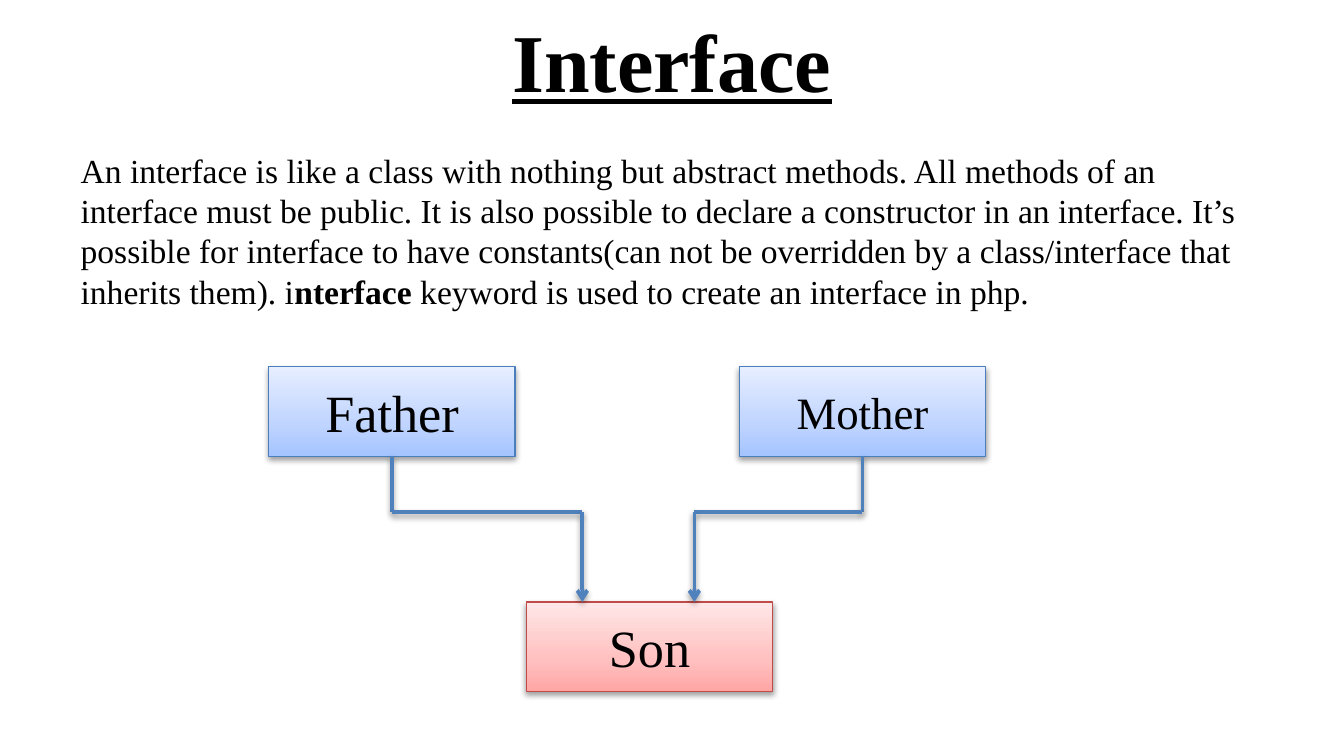
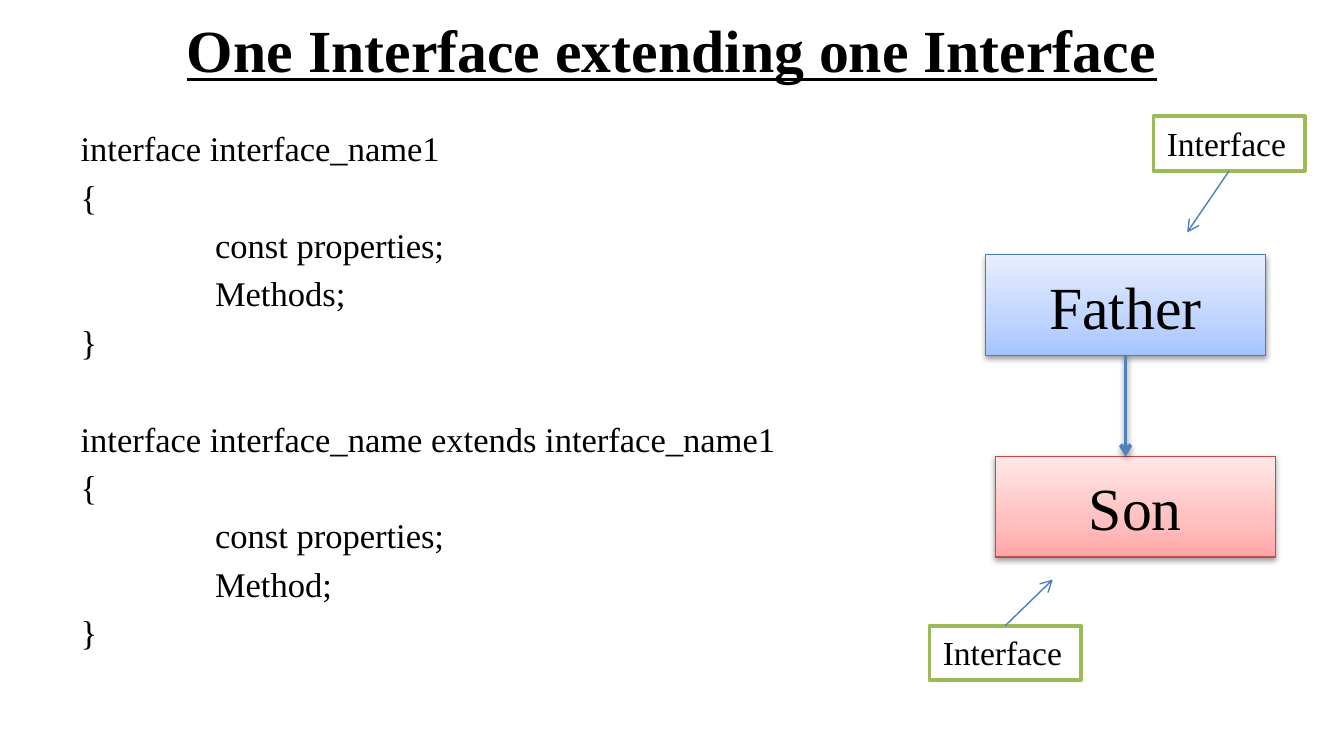
from copy import deepcopy

from lxml import etree
from pptx import Presentation
from pptx import util as u
from pptx.dml import color
from pptx.enum import shapes, text
from pptx.oxml import ns

PX = 9525
FONT = "Times New Roman"
INK = "000000"
EDGE = "4B7EBC"
WIRE = "4F81BD"
GREEN = "9BBB59"
BLUE = (EDGE, ("A4C4FF", "BFD4FF", "E6EEFF"))
RED = ("BF4C48", ("FFA6A5", "FFC0BF", "FFE7E7"))
STOPS = (0, 0.35, 1)


def rgb(code):
    return color.RGBColor.from_string(code)


def px(*nums):
    return [u.Emu(n * PX) for n in nums]


def sub(node, tag, **attrs):
    return etree.SubElement(node, ns.qn(tag), attrs)


class Deck:
    def __init__(self):
        self.prs = Presentation()
        self.prs.slide_width, self.prs.slide_height = px(960, 540)

    def page(self):
        self.slide = self.prs.slides.add_slide(self.prs.slide_layouts[1])

    def run(self, para, words, size, bold=False, under=False):
        run = para.add_run()
        run.text = words
        font = run.font
        font.name, font.size = FONT, u.Pt(size)
        font.bold, font.underline = bold, under
        font.color.rgb = rgb(INK)

    def place(self, shape, box):
        shape.left, shape.top, shape.width, shape.height = px(*box)
        frame = shape.text_frame
        frame.word_wrap = True
        frame.auto_size = text.MSO_AUTO_SIZE.NONE
        return frame

    def title(self, words, high, size):
        frame = self.place(self.slide.shapes.title, (48, -2, 864, high))
        frame.vertical_anchor = text.MSO_ANCHOR.MIDDLE
        para = frame.paragraphs[0]
        para.alignment = text.PP_ALIGN.CENTER
        self.run(para, words, size, True, True)

    def body(self, box, lines, size):
        frame = self.place(self.slide.placeholders[1], box)
        for i, (runs, inset, gap) in enumerate(lines):
            para = frame.add_paragraph() if i else frame.paragraphs[0]
            props = para._p.get_or_add_pPr()
            props.set("marL", str(inset * PX))
            props.set("indent", "0")
            sub(props, "a:buNone")
            para.space_before = u.Pt(gap if i else 0)
            for words, bold in runs:
                self.run(para, words, size, bold)

    def shade(self, shape, on=True):
        fx = sub(shape.element.spPr, "a:effectLst")
        if on:
            drop = sub(fx, "a:outerShdw", blurRad="40000", dist="20000",
                       dir="5400000", rotWithShape="0")
            ink = sub(drop, "a:srgbClr", val=INK)
            sub(ink, "a:alpha", val="38000")

    def block(self, words, box, look, size):
        edge, tints = look
        shape = self.slide.shapes.add_shape(
            shapes.MSO_SHAPE.RECTANGLE, *px(*box))
        fill = shape.fill
        fill.gradient()
        fill.gradient_angle = 90
        first = shape.element.spPr.find(".//" + ns.qn("a:gs"))
        first.addnext(deepcopy(first))
        for stop, spot, tint in zip(fill.gradient_stops, STOPS, tints):
            stop.position = spot
            stop.color.rgb = rgb(tint)
        shape.line.color.rgb = rgb(edge)
        shape.line.width = u.Pt(0.75)
        self.shade(shape)
        frame = shape.text_frame
        frame.vertical_anchor = text.MSO_ANCHOR.MIDDLE
        para = frame.paragraphs[0]
        para.alignment = text.PP_ALIGN.CENTER
        self.run(para, words, size)

    def label(self, words, left, top):
        shape = self.slide.shapes.add_textbox(*px(left, top, 108, 39))
        shape.fill.solid()
        shape.fill.fore_color.rgb = rgb("FFFFFF")
        shape.line.color.rgb = rgb(GREEN)
        shape.line.width = u.Pt(2)
        frame = shape.text_frame
        frame.word_wrap = False
        frame.auto_size = text.MSO_AUTO_SIZE.SHAPE_TO_FIT_TEXT
        self.run(frame.paragraphs[0], words, 18)

    def wire(self, dots, tint=WIRE, wide=2, shade=True):
        pairs = list(zip(dots, dots[1:]))
        for i, (start, end) in enumerate(pairs, 1):
            line = self.slide.shapes.add_connector(
                shapes.MSO_CONNECTOR.STRAIGHT, *px(*start, *end))
            line.line.color.rgb = rgb(tint)
            line.line.width = u.Pt(wide)
            if i == len(pairs):
                sub(line.element.spPr.find(ns.qn("a:ln")),
                    "a:tailEnd", type="arrow")
            self.shade(line, shade)


def family(deck):
    deck.page()
    deck.title("Interface", 89, 44)
    runs = [
        ("An interface is like a class with nothing but abstract methods. "
         "All methods of an interface must be public. It is also possible "
         "to declare a constructor in an interface. It’s possible for "
         "interface to have constants(can not be overridden by a "
         "class/interface that inherits them). i", False),
        ("nterface", True),
        (" keyword is used to create an interface in php.", False),
    ]
    deck.body((48, 102, 864, 144), [(runs, 0, 0)], 18)
    for words, left, top, look, size in (
            ("Father", 192, 262, BLUE, 28),
            ("Mother", 528, 262, BLUE, 24),
            ("Son", 376, 430, RED, 28)):
        deck.block(words, (left, top, 176, 64), look, size)
    for start, end in ((280, 416), (616, 496)):
        deck.wire([(start, 326), (start, 366), (end, 366), (end, 430)])


def extend(deck):
    deck.page()
    deck.title("One Interface extending one Interface", 74, 32)
    lines = []
    for head, last in (
            ("interface interface_name1", "Methods;"),
            ("interface interface_name extends interface_name1", "Method;")):
        for words, inset, gap in (
                (head, 0, 29.6), ("{", 0, 3.7),
                ("const properties;", 96, 3.7),
                (last, 96, 3.7), ("}", 0, 3.7)):
            lines.append(([(words, False)], inset, gap))
    deck.body((48, 86, 600, 400), lines, 18.5)
    deck.block("Father", (704, 182, 200, 72), BLUE, 32)
    deck.block("Son", (711, 326, 200, 72), RED, 32)
    deck.wire([(804, 254), (804, 326)])
    for left, top, start, end in (
            (824, 83, (878, 122), (848, 166)),
            (664, 447, (718, 447), (752, 414))):
        deck.label("Interface", left, top)
        deck.wire([start, end], EDGE, 0.75, False)


def main():
    deck = Deck()
    family(deck)
    extend(deck)
    deck.prs.save("out.pptx")


if __name__ == "__main__":
    main()
